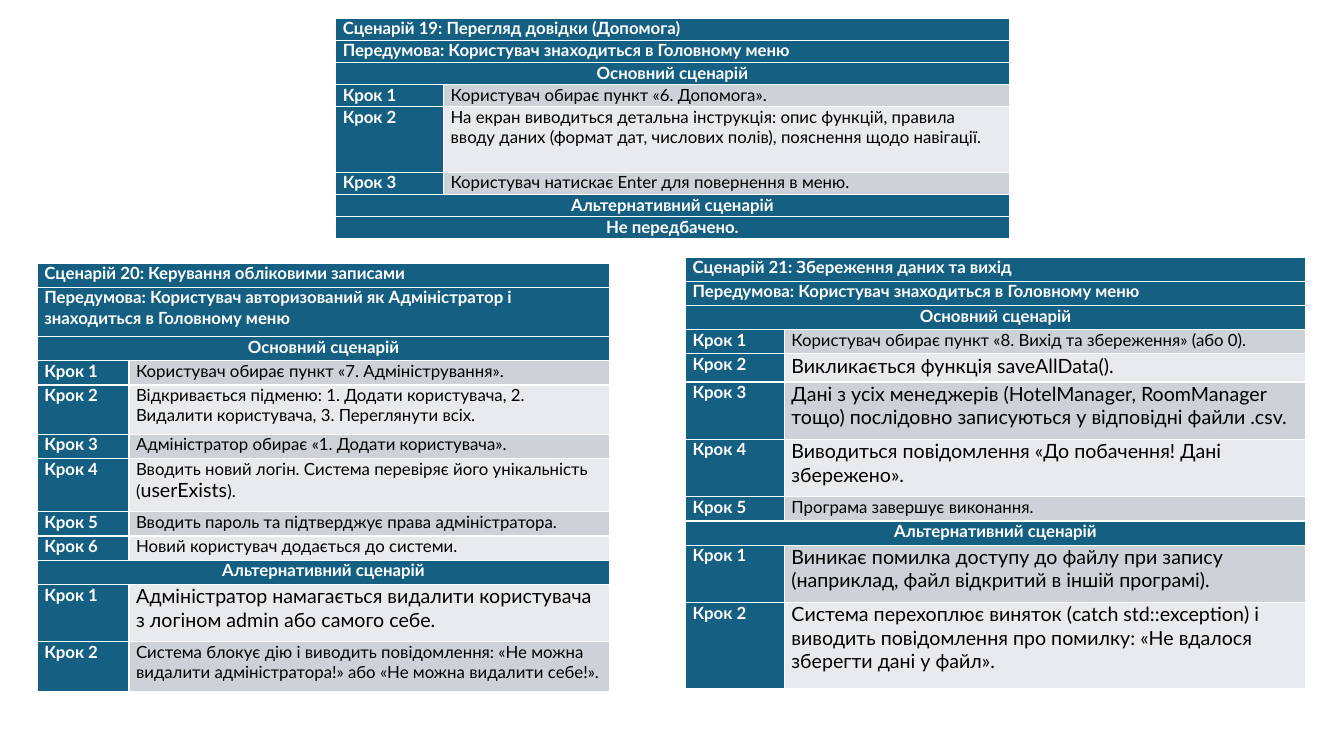
from pptx import Presentation
from pptx.dml.color import RGBColor
from pptx.enum.text import PP_ALIGN
from pptx.util import Emu, Pt

PX = 9144
FONT = "Lato"
TEAL, WHITE, BLACK = "156082", "FFFFFF", "000000"
BANDS = ("E8EAED", "CCD2D8")
MAIN, ALTERNATIVE = "Основний сценарій", "Альтернативний сценарій"
MENU_CONDITION = "Передумова: Користувач знаходиться в Головному меню"

HELP_ROWS = [
    (22, "Сценарій 19: Перегляд довідки (Допомога)"),
    (22, MENU_CONDITION),
    (22, MAIN),
    (22, "Крок 1", ("Користувач обирає пункт «6. Допомога».", 12)),
    (65, "Крок 2", ("На екран виводиться детальна інструкція: опис функцій, правила вводу даних "
                    "(формат дат, числових полів), пояснення щодо навігації.", 12)),
    (22, "Крок 3", ("Користувач натискає Enter для повернення в меню.", 12)),
    (22, ALTERNATIVE),
    (22, "Не передбачено."),
]
ACCOUNT_ROWS = [
    (24, "Сценарій 20: Керування обліковими записами"),
    (49, "Передумова: Користувач авторизований як Адміністратор і знаходиться в Головному меню"),
    (24, MAIN),
    (24, "Крок 1", ("Користувач обирає пункт «7. Адміністрування».", 12)),
    (49, "Крок 2", ("Відкривається підменю: 1. Додати користувача, 2. Видалити користувача, "
                    "3. Переглянути всіх.", 12)),
    (24, "Крок 3", ("Адміністратор обирає «1. Додати користувача».", 12)),
    (53, "Крок 4", ("Вводить новий логін. Система перевіряє його унікальність (", 12),
     ("userExists", 14), (").", 12)),
    (24, "Крок 5", ("Вводить пароль та підтверджує права адміністратора.", 12)),
    (24, "Крок 6", ("Новий користувач додається до системи.", 12)),
    (24, ALTERNATIVE),
    (57, "Крок 1", ("Адміністратор намагається видалити користувача з логіном admin "
                    "або самого себе.", 14)),
    (49, "Крок 2", ("Система блокує дію і виводить повідомлення: «Не можна видалити "
                    "адміністратора!» або «Не можна видалити себе!».", 12)),
]
EXIT_ROWS = [
    (24, "Сценарій 21: Збереження даних та вихід"),
    (24, MENU_CONDITION),
    (24, MAIN),
    (24, "Крок 1", ("Користувач обирає пункт «8. Вихід та збереження» (або 0).", 12)),
    (28, "Крок 2", ("Викликається функція saveAllData().", 14)),
    (57, "Крок 3", ("Дані з усіх менеджерів (HotelManager, RoomManager тощо) послідовно "
                    "записуються у відповідні файли .csv.", 14)),
    (57, "Крок 4", ("Виводиться повідомлення «До побачення! Дані збережено».", 14)),
    (24, "Крок 5", ("Програма завершує виконання.", 12)),
    (24, ALTERNATIVE),
    (57, "Крок 1", ("Виникає помилка доступу до файлу при запису (наприклад, файл відкритий "
                    "в іншій програмі).", 14)),
    (85, "Крок 2", ("Система перехоплює виняток (catch std::exception) і виводить повідомлення "
                    "про помилку: «Не вдалося зберегти дані у файл».", 14)),
]


def px(length):
    """Turn whole px into EMU."""
    return Emu(length * PX)


def color(value):
    """Turn a hex string into a colour."""
    return RGBColor.from_string(value)


def fill_cell(cell, runs, background, ink, bold, alignment=PP_ALIGN.LEFT):
    """Write the sized runs into a cell and paint it."""
    cell.margin_left = cell.margin_right = px(7)
    cell.margin_top = cell.margin_bottom = 0
    cell.fill.solid()
    cell.fill.fore_color.rgb = color(background)
    paragraph = cell.text_frame.paragraphs[0]
    paragraph.alignment = alignment
    for text, size in runs:
        run = paragraph.add_run()
        run.text = text
        run.font.name = FONT
        run.font.size = Pt(size)
        run.font.bold = bold
        run.font.color.rgb = color(ink)


def add_scenario(slide, left, top, widths, rows):
    """Place one scenario table: banner rows across, step rows in two columns."""
    height = sum(row[0] for row in rows)
    table = slide.shapes.add_table(
        len(rows), 2, px(left), px(top), px(sum(widths)), px(height)).table
    for column, width in zip(table.columns, widths):
        column.width = px(width)
    for index, (row_height, label, *runs) in enumerate(rows):
        table.rows[index].height = px(row_height)
        label_cell, text_cell = table.cell(index, 0), table.cell(index, 1)
        alignment = PP_ALIGN.LEFT
        if runs:
            fill_cell(text_cell, runs, BANDS[index % 2], BLACK, False)
        else:
            label_cell.merge(text_cell)
            if index > 1:
                alignment = PP_ALIGN.CENTER
        fill_cell(label_cell, [(label, 12)], TEAL, WHITE, True, alignment)


def main():
    """Build the slide with three scenarios."""
    presentation = Presentation()
    presentation.slide_width, presentation.slide_height = px(1333), px(750)
    slide = presentation.slides.add_slide(presentation.slide_layouts[6])
    add_scenario(slide, 333, 18, (107, 561), HELP_ROWS)
    add_scenario(slide, 37, 261, (91, 477), ACCOUNT_ROWS)
    add_scenario(slide, 680, 255, (98, 517), EXIT_ROWS)
    presentation.save("out.pptx")


if __name__ == "__main__":
    main()
